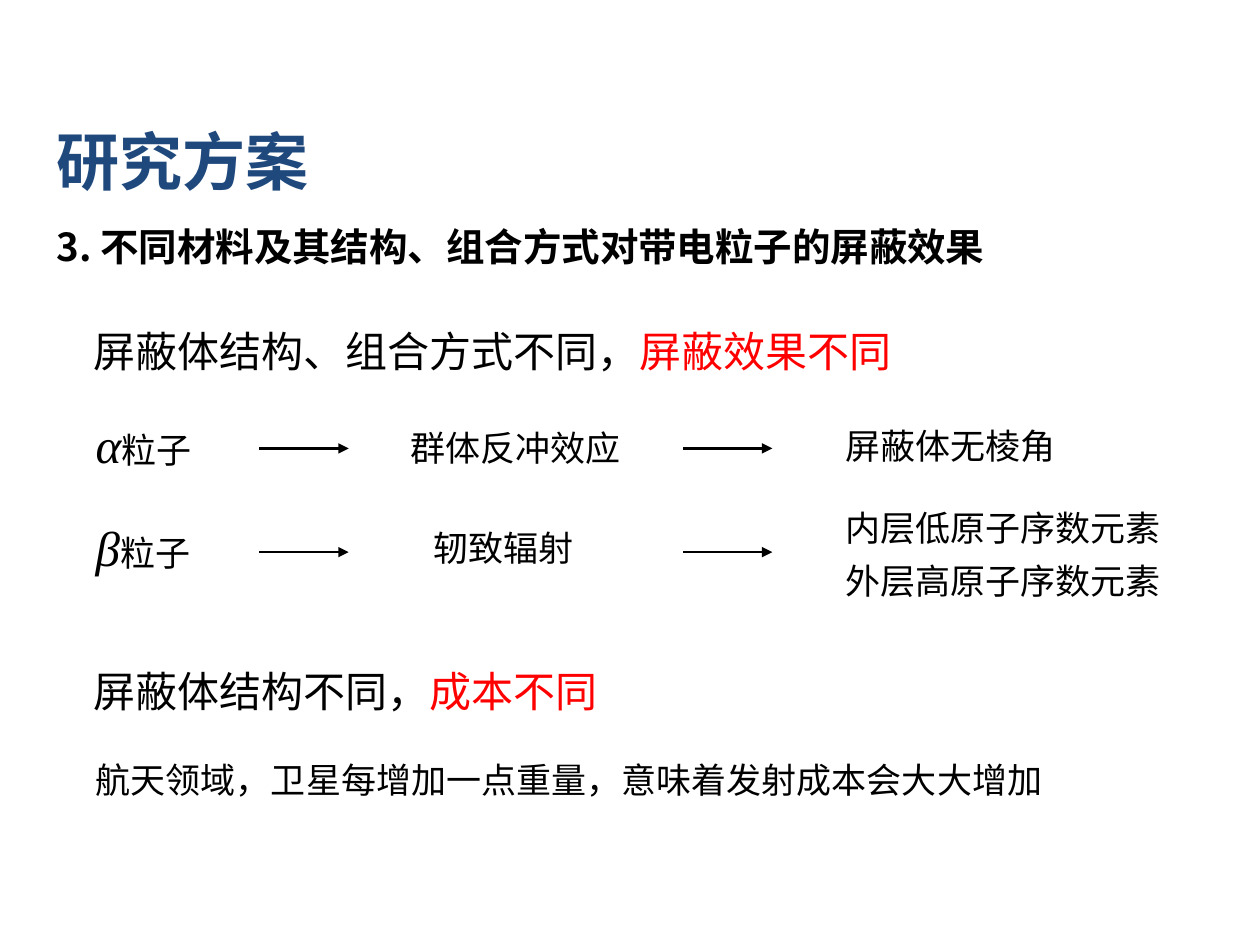
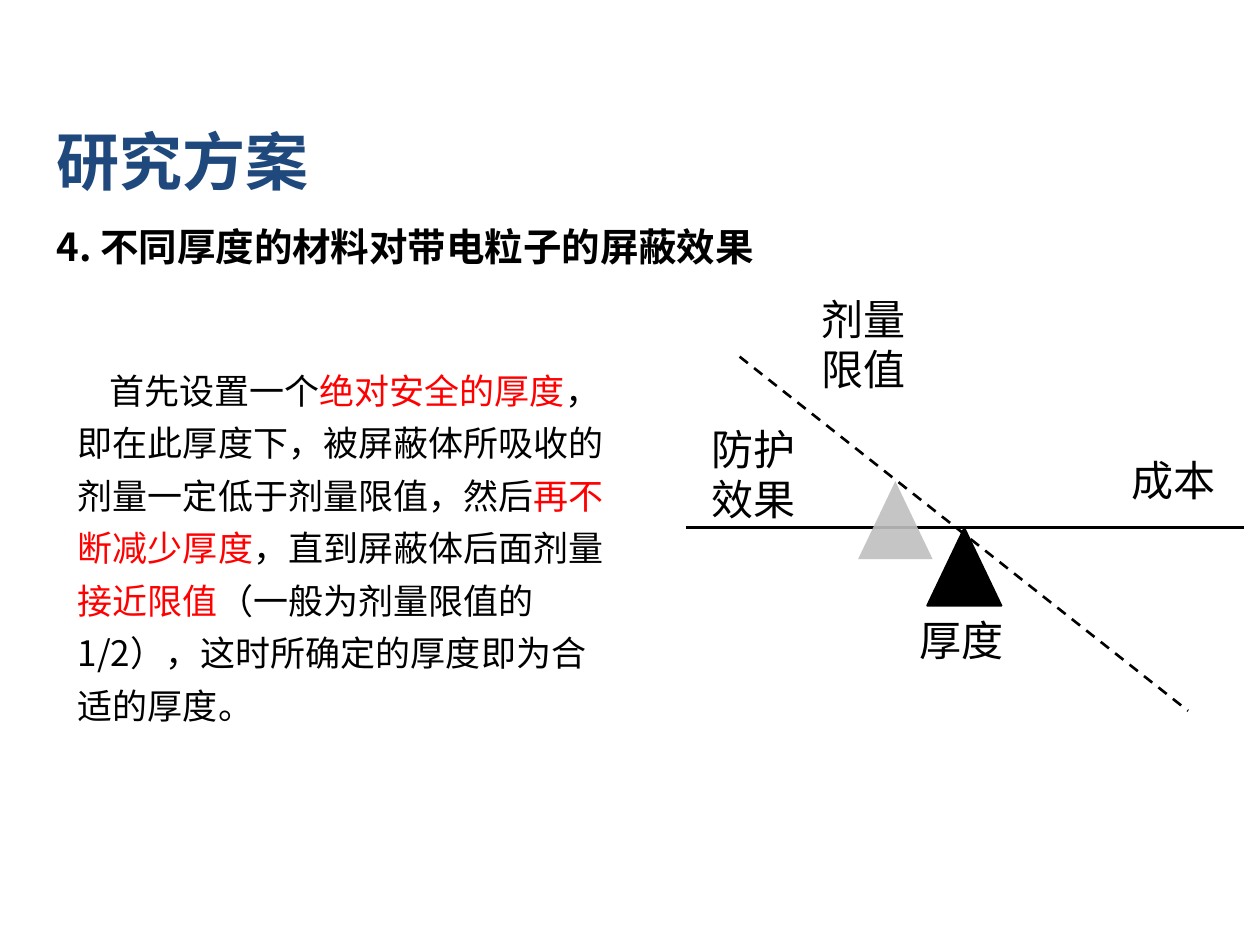
"""Build two research-plan slides on shielding against charged particles."""
from dataclasses import dataclass
from typing import NamedTuple, Optional

import pptx
import pptx.dml.color
import pptx.enum.dml
import pptx.enum.shapes
import pptx.enum.text
import pptx.oxml
import pptx.oxml.ns
import pptx.slide
import pptx.util

Cm, Pt = pptx.util.Cm, pptx.util.Pt
RGBColor = pptx.dml.color.RGBColor
qn = pptx.oxml.ns.qn

BLACK = RGBColor(0x00, 0x00, 0x00)
RED = RGBColor(0xFF, 0x00, 0x00)
NAVY = RGBColor(0x1F, 0x49, 0x7D)
GRAY = RGBColor(0xBF, 0xBF, 0xBF)
SANS = "Noto Sans CJK SC"
SERIF = "Times New Roman"
TITLE = "研究方案"


class Run(NamedTuple):
    text: str
    color: Optional[RGBColor] = None
    symbol: bool = False


@dataclass
class Text:
    left: float
    top: float
    width: float
    height: float
    paragraphs: list[list[Run]]
    size: int = 20
    color: RGBColor = BLACK
    bold: bool = False
    spacing: float = 1.0
    indent: float = 0
    grow: bool = True


@dataclass
class Line:
    x1: float
    y1: float
    x2: float
    y2: float
    arrow: bool = False
    dashed: bool = False


@dataclass
class Triangle:
    left: float
    top: float
    color: RGBColor
    outlined: bool = True
    opacity: int = 100


def plain(*lines: str) -> list[list[Run]]:
    """Return one single-run paragraph per line."""
    return [[Run(line)] for line in lines]


def draw_text(s: pptx.slide.Slide, t: Text) -> None:
    """Draw a wrapped text box."""
    tf = s.shapes.add_textbox(Cm(t.left), Cm(t.top), Cm(t.width), Cm(t.height)).text_frame
    tf.word_wrap = True
    sizing = pptx.enum.text.MSO_AUTO_SIZE
    tf.auto_size = sizing.SHAPE_TO_FIT_TEXT if t.grow else sizing.NONE
    for i, runs in enumerate(t.paragraphs):
        p = tf.add_paragraph() if i else tf.paragraphs[0]
        p.line_spacing = t.spacing
        p.font.size, p.font.name, p.font.bold = Pt(t.size), SANS, t.bold
        p.font.color.rgb = t.color
        props = p._p.get_or_add_pPr()
        if t.indent:
            props.set("indent", str(Cm(t.indent)))
        latin = props.find(qn("a:defRPr")).find(qn("a:latin"))
        east = pptx.oxml.parse_xml(f'<a:ea {pptx.oxml.ns.nsdecls("a")} typeface="{SANS}"/>')
        latin.addnext(east)
        for run in runs:
            r = p.add_run()
            r.text = run.text
            if run.color is not None:
                r.font.color.rgb = run.color
            if run.symbol:
                r.font.name, r.font.size, r.font.italic = SERIF, Pt(28), True


def draw_line(s: pptx.slide.Slide, ln: Line) -> None:
    """Draw a straight line, optionally dashed or with an arrowhead."""
    c = s.shapes.add_connector(pptx.enum.shapes.MSO_CONNECTOR.STRAIGHT,
                               Cm(ln.x1), Cm(ln.y1), Cm(ln.x2), Cm(ln.y2))
    c.line.color.rgb, c.line.width = BLACK, Pt(1.5)
    if ln.dashed:
        c.line.dash_style = pptx.enum.dml.MSO_LINE.DASH
    props = c._element.spPr
    if ln.arrow:
        props.find(qn("a:ln")).append(pptx.oxml.parse_xml(
            f'<a:tailEnd {pptx.oxml.ns.nsdecls("a")} type="triangle"/>'))
    props.append(pptx.oxml.parse_xml(f'<a:effectLst {pptx.oxml.ns.nsdecls("a")}/>'))


def draw_triangle(s: pptx.slide.Slide, t: Triangle) -> None:
    """Draw a balance pivot."""
    sp = s.shapes.add_shape(pptx.enum.shapes.MSO_SHAPE.ISOSCELES_TRIANGLE,
                            Cm(t.left), Cm(t.top), Cm(1.5), Cm(1.57))
    sp.shadow.inherit = False
    sp.fill.solid()
    sp.fill.fore_color.rgb = t.color
    if t.opacity < 100:
        sp._element.spPr.find(qn("a:solidFill"))[0].append(pptx.oxml.parse_xml(
            f'<a:alpha {pptx.oxml.ns.nsdecls("a")} val="{t.opacity * 1000}"/>'))
    if t.outlined:
        sp.line.color.rgb, sp.line.width = t.color, Pt(1)
    else:
        sp.line.fill.background()


DRAW = {Text: draw_text, Line: draw_line, Triangle: draw_triangle}


def add_slide(prs: pptx.presentation.Presentation, heading: str, items: list) -> None:
    """Add a slide with the shared title, a heading and its items."""
    s = prs.slides.add_slide(prs.slide_layouts[6])
    title = Text(0.89, 2.34, 9.09, 1.8, plain(TITLE), 36, NAVY, bold=True)
    subtitle = Text(0.89, 4.37, 21.79, 1.57, plain(heading), 22, bold=True, grow=False)
    for item in [title, subtitle, *items]:
        DRAW[type(item)](s, item)


def claim(top: float, lead: str, result: str) -> Text:
    """Return a statement whose result is red."""
    return Text(1.63, top, 22.81, 1.55, [[Run(lead), Run(result, RED)]], 24, spacing=1.5)


def particle(top: float, symbol: str) -> Text:
    """Return a particle label."""
    return Text(1.68, top, 3.81, 1.45, [[Run(symbol, symbol=True), Run("粒子")]])


def label(left: float, top: float, width: float, height: float, text: str) -> Text:
    """Return a label of the balance diagram."""
    return Text(left, top, width, height, plain(text), 24)


def main() -> None:
    """Build and save the deck."""
    prs = pptx.Presentation()
    prs.slide_width, prs.slide_height = Cm(25.4), Cm(19.05)
    arrows = [Line(x, y, x + 1.8, y, arrow=True) for x in (5.23, 13.77) for y in (9.04, 11.13)]
    add_slide(prs, "3. 不同材料及其结构、组合方式对带电粒子的屏蔽效果", [
        claim(5.92, "屏蔽体结构、组合方式不同，", "屏蔽效果不同"),
        particle(8.23, "α"),
        particle(10.31, "β"),
        *arrows,
        Text(8.03, 8.48, 6.2, 1.12, plain("群体反冲效应")),
        Text(8.48, 10.49, 6.2, 1.12, plain("轫致辐射")),
        Text(16.79, 8.43, 7.8, 1.12, plain("屏蔽体无棱角")),
        Text(16.79, 9.88, 8.41, 2.24,
             plain("内层低原子序数元素", "外层高原子序数元素"), spacing=1.25),
        claim(12.78, "屏蔽体结构不同，", "成本不同"),
        Text(1.68, 15.16, 20.55, 1.12,
             plain("航天领域，卫星每增加一点重量，意味着发射成本会大大增加")),
    ])
    method = [
        Run("首先设置一个"), Run("绝对安全的厚度", RED),
        Run("，即在此厚度下，被屏蔽体所吸收的剂量一定低于剂量限值，然后"),
        Run("再不断减少厚度", RED), Run("，直到屏蔽体后面剂量"), Run("接近限值", RED),
        Run("（一般为剂量限值的1/2），这时所确定的厚度即为合适的厚度。"),
    ]
    add_slide(prs, "4. 不同厚度的材料对带电粒子的屏蔽效果", [
        Line(13.82, 10.64, 25.07, 10.64),
        Triangle(18.69, 10.64, BLACK),
        label(14.1, 8.41, 2.69, 2.31, "防护效果"),
        label(22.56, 9.04, 2.79, 1.27, "成本"),
        label(18.29, 12.27, 3.2, 1.27, "厚度"),
        Line(14.91, 7.19, 23.95, 14.33, dashed=True),
        label(16.31, 5.79, 2.69, 2.31, "剂量限值"),
        Triangle(17.3, 9.7, GRAY, outlined=False, opacity=90),
        Text(1.32, 7.11, 11.33, 7.59, [method], spacing=1.25, indent=0.63),
    ])
    prs.save("out.pptx")


if __name__ == "__main__":
    main()
